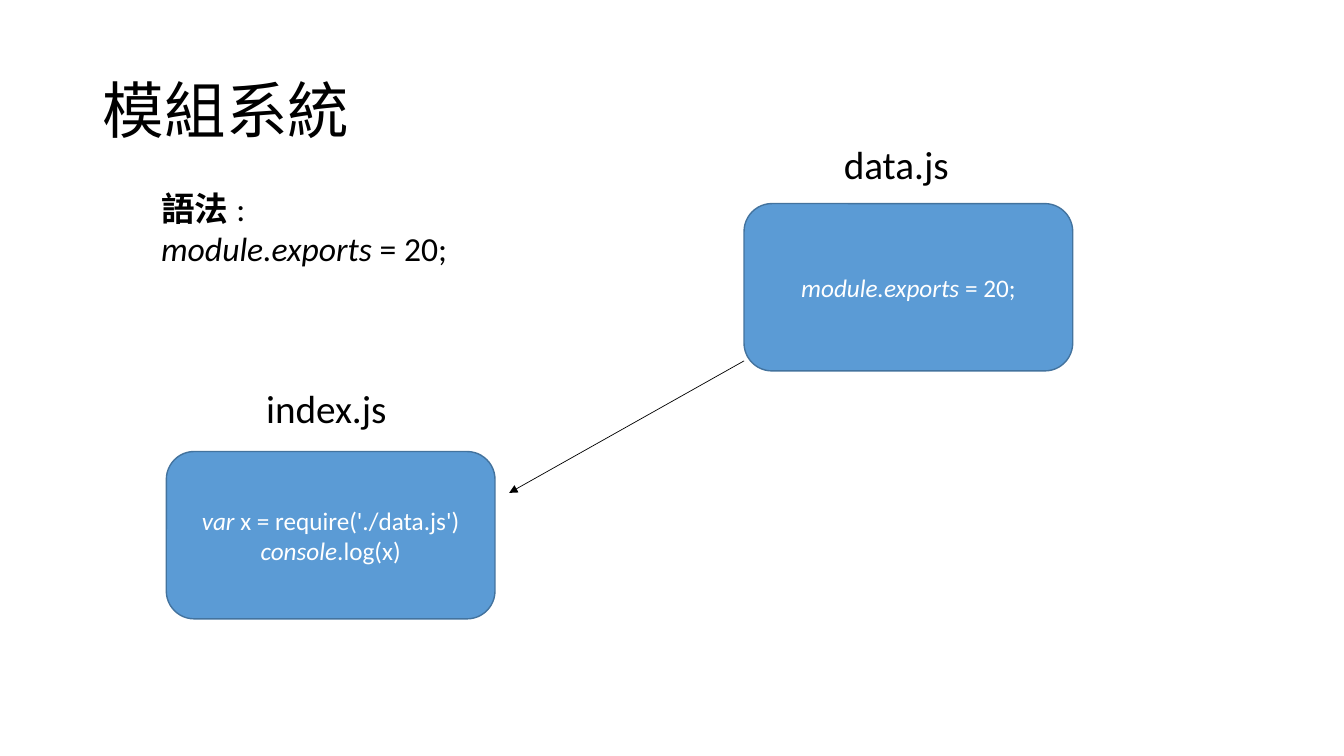
from lxml import etree
from pptx import Presentation
from pptx import util as u
from pptx.dml.color import RGBColor
from pptx.enum import shapes, text
from pptx.oxml.ns import qn

PX = u.Inches(1) // 100
FONT = "Calibri"
BLACK, WHITE, BLUE, EDGE = "000000", "FFFFFF", "5B9BD5", "43739E"
MODULE_W, MODULE_H = 326, 166
EXPORT_LINE = [("module.exports", "i"), (" = 20;", "")]
REQUIRE_LINES = [
    [("var", "i"), (" x = require('./data.js')", "")],
    [("console", "i"), (".log(x)", "")],
]


def px(*lengths):
    """Turn whole pixels into EMU."""
    return [length * PX for length in lengths]


def colour(value):
    """Turn a hex string into a colour."""
    return RGBColor.from_string(value)


def write(frame, lines, size, ink, align=text.PP_ALIGN.LEFT, spacing=None, before=None):
    """Fill a text frame with lines of (words, style) runs."""
    frame.word_wrap = True
    for index, line in enumerate(lines):
        para = frame.paragraphs[0] if index == 0 else frame.add_paragraph()
        para.alignment = align
        if spacing:
            para.line_spacing = spacing
        if before:
            para.space_before = u.Pt(before)
        for words, style in line:
            span = para.add_run()
            span.text = words
            span.font.name = FONT
            span.font.size = u.Pt(size)
            span.font.bold = "b" in style
            span.font.italic = "i" in style
            span.font.color.rgb = colour(ink)


def add_title(page, left, top, width, height):
    """Place and fill the title placeholder."""
    title = page.shapes.title
    title.left, title.top, title.width, title.height = px(left, top, width, height)
    title.text_frame.vertical_anchor = text.MSO_ANCHOR.MIDDLE
    write(title.text_frame, [[("模組系統", "")]], 44, BLACK, spacing=0.9)


def add_syntax(page, left, top, width, height):
    """Add the syntax note."""
    note = page.shapes.add_textbox(*px(left, top, width, height))
    write(note.text_frame, [[("語法", "b"), (":", "")], EXPORT_LINE], 24, BLACK)


def add_module(page, left, top, label_dx, label_dy, name, lines):
    """Add a module's code box with its file name above."""
    label = page.shapes.add_textbox(*px(left + label_dx, top - label_dy, 148, 50))
    write(label.text_frame, [[(name, "")]], 28, BLACK, spacing=0.8, before=10)
    box = page.shapes.add_shape(shapes.MSO_SHAPE.ROUNDED_RECTANGLE,
                                *px(left, top, MODULE_W, MODULE_H))
    box.shadow.inherit = False
    box.fill.solid()
    box.fill.fore_color.rgb = colour(BLUE)
    box.line.color.rgb = colour(EDGE)
    box.line.width = u.Pt(1)
    box.text_frame.vertical_anchor = text.MSO_ANCHOR.MIDDLE
    write(box.text_frame, lines, 18, WHITE, text.PP_ALIGN.CENTER)


def add_arrow(page, *ends):
    """Add a thin arrow from the first point to the second."""
    arrow = page.shapes.add_connector(shapes.MSO_CONNECTOR.STRAIGHT, *px(*ends))
    arrow.line.color.rgb = colour(BLACK)
    arrow.line.width = u.Pt(0.5)
    etree.SubElement(arrow.line._get_or_add_ln(), qn("a:tailEnd"), type="triangle")
    etree.SubElement(arrow._element.spPr, qn("a:effectLst"))


def build_slide(deck):
    """Add the module system slide."""
    page = deck.slides.add_slide(deck.slide_layouts[5])
    add_title(page, 92, 40, 1150, 145)
    add_module(page, 165, 448, 89, 63, "index.js", REQUIRE_LINES)
    add_module(page, 738, 202, 89, 59, "data.js", [EXPORT_LINE])
    add_arrow(page, 738, 358, 505, 489)
    add_syntax(page, 150, 181, 439, 91)


def main():
    """Build and save the deck."""
    deck = Presentation()
    deck.slide_width, deck.slide_height = px(1333, 750)
    build_slide(deck)
    deck.save("out.pptx")


if __name__ == "__main__":
    main()
